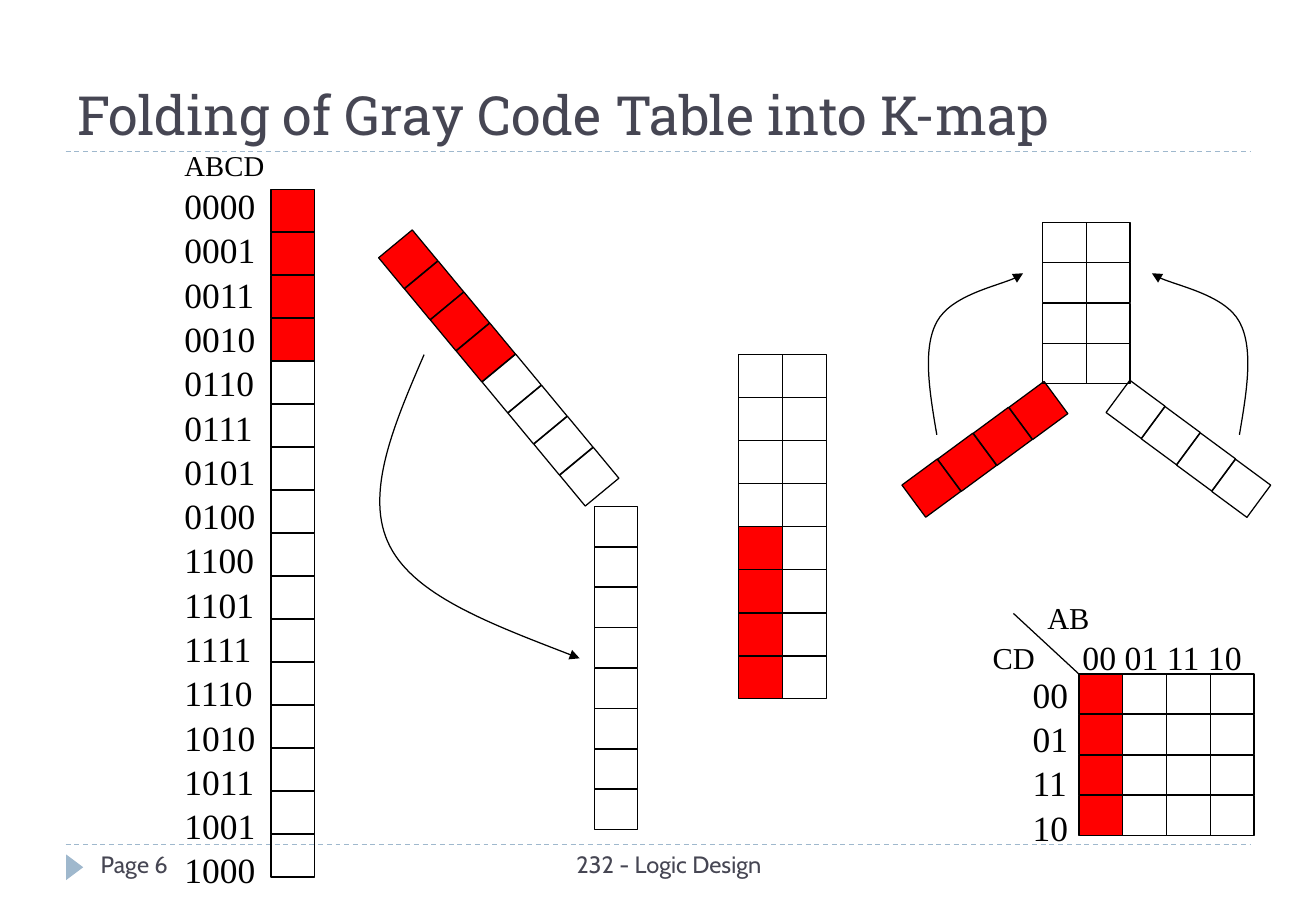
"""Build the slide that folds a Gray code table into a K-map."""
import dataclasses

import pptx
import pptx.dml.color
import pptx.enum.dml
import pptx.enum.shapes
import pptx.enum.text
import pptx.oxml.ns
import pptx.oxml.xmlchemy
import pptx.util

Inches = pptx.util.Inches
Point = tuple[float, float]
ALIGN = pptx.enum.text.PP_ALIGN
ANCHOR = pptx.enum.text.MSO_ANCHOR
SHAPE = pptx.enum.shapes.MSO_SHAPE
COLORS = {"ink": "000000", "slate": "464653", "rule": "9FB8CD", "R": "FF0000", "W": "FFFFFF"}
GRAY_CODES = ("0000 0001 0011 0010 0110 0111 0101 0100 "
              "1100 1101 1111 1110 1010 1011 1001 1000").split()


@dataclasses.dataclass(frozen=True)
class Label:
    """Lines of text in a box; the first line may have its own size."""
    lines: list[str]
    box: tuple[float, float, float, float]
    size: float
    font: str = "Times New Roman"
    color: str = "ink"
    align: ALIGN = ALIGN.LEFT
    anchor: ANCHOR = ANCHOR.TOP
    wrap: bool = False
    gap: float = 0
    head_size: float | None = None


@dataclasses.dataclass(frozen=True)
class Strip:
    """Evenly spaced cells; R is red, W is white and - is unfilled."""
    first: Point
    last: Point
    cells: str
    size: Point = (0.36, 0.33)
    turn: float = 0


@dataclasses.dataclass(frozen=True)
class FoldArrow:
    """A start point followed by Bezier triples."""
    start: Point
    curve: list[Point]


@dataclasses.dataclass(frozen=True)
class Rule:
    """A straight line."""
    start: Point
    end: Point
    color: str
    dashed: bool = False


RULES = [Rule((0.54, y), (10.29, y), "rule", True) for y in (6.95, 1.25)]
RULES.append(Rule((8.88, 5.55), (8.34, 5.05), "ink"))

LABELS = [
    Label(["232 - Logic Design"], (3.43, 6.95, 4.15, 0.4), 14, "Cabin", "slate", ALIGN.CENTER, wrap=True),
    Label(["Page 6"], (0.73, 6.95, 2.35, 0.4), 14, "Cabin", "slate", wrap=True),
    Label(["ABCD", *GRAY_CODES], (1.42, 1.17, 0.87, 6.14), 21, gap=1.05, head_size=17),
    Label(["00 01 11 10"], (8.81, 5.19, 1.52, 0.44), 20),
    Label(["00", "01", "11", "10"], (8.4, 5.49, 0.5, 1.51), 21, gap=1.05),
    Label(["AB"], (8.52, 4.88, 0.55, 0.4), 18),
    Label(["CD"], (8.07, 5.21, 0.55, 0.4), 18),
    Label(["Folding of Gray Code Table into K-map"], (0.54, 0.17, 9.75, 1.08), 32,
          "Roboto Slab", "slate", anchor=ANCHOR.BOTTOM, wrap=True),
]


def columns(left: float, top: float, bottom: float, fills: list[str], height: float = 0.33) -> list[Strip]:
    """Return touching upright strips, one for each fill pattern."""
    return [Strip((left + 0.36 * i, top), (left + 0.36 * i, bottom), cells, (0.36, height))
            for i, cells in enumerate(fills)]


STRIPS = [
    *columns(2.23, 1.56, 6.87, ["RRRR----WWWW----"], 0.35),
    Strip((3.18, 1.97), (4.67, 3.76), "RRRR----", turn=320.4),
    *columns(4.89, 4.17, 6.5, ["WWWW----"]),
    *columns(6.08, 2.92, 5.4, ["----RRRR", "WWWW----"], 0.35),
    Strip((8.38, 3.2), (7.5, 3.84), "RRRR", (0.33, 0.36), 53.6),
    *columns(8.58, 1.83, 2.83, ["----", "WWWW"]),
    Strip((9.18, 3.19), (10.05, 3.84), "----", (0.33, 0.36), 306.4),
    *columns(8.88, 5.55, 6.55, ["RRRR", "----", "WWWW", "----"]),
]

FOLD_ARROWS = [
    FoldArrow((3.49, 2.92), [(3.24, 3.5), (2.99, 4.08), (3.21, 4.5), (3.42, 4.91), (4.1, 5.16), (4.77, 5.42)]),
    FoldArrow((7.71, 3.58), [(7.65, 3.23), (7.59, 2.87), (7.71, 2.65), (7.83, 2.43), (8.36, 2.32), (8.42, 2.25)]),
    FoldArrow((10.2, 3.58), [(10.26, 3.23), (10.32, 2.87), (10.2, 2.65), (10.08, 2.43), (9.54, 2.32), (9.48, 2.25)]),
]


def rgb(name: str) -> pptx.dml.color.RGBColor:
    """Look up a named colour."""
    return pptx.dml.color.RGBColor.from_string(COLORS[name])


def apply(target: object, values: dict[str, object]) -> None:
    """Set each format value on the target."""
    for name, value in values.items():
        setattr(target, name, value)


def paint(shape, fill: str | None, line: str | None) -> None:
    """Give a shape its fill and outline without a shadow."""
    shape.shadow.inherit = False
    if fill:
        shape.fill.solid()
        shape.fill.fore_color.rgb = rgb(fill)
    else:
        shape.fill.background()
    if line:
        shape.line.color.rgb = rgb(line)
        shape.line.width = pptx.util.Pt(0.75)
    else:
        shape.line.fill.background()


def draw_rule(shapes, rule: Rule) -> None:
    """Draw a straight line."""
    ends = [Inches(v) for v in (*rule.start, *rule.end)]
    connector = shapes.add_connector(pptx.enum.shapes.MSO_CONNECTOR.STRAIGHT, *ends)
    connector.line.color.rgb = rgb(rule.color)
    connector.line.width = pptx.util.Pt(0.75)
    if rule.dashed:
        connector.line.dash_style = pptx.enum.dml.MSO_LINE.DASH
    connector._element.spPr.append(pptx.oxml.xmlchemy.OxmlElement("a:effectLst"))


def draw_label(shapes, label: Label) -> None:
    """Draw the lines of a label."""
    frame = shapes.add_textbox(*map(Inches, label.box)).text_frame
    apply(frame, {"word_wrap": label.wrap, "vertical_anchor": label.anchor, "text": "\n".join(label.lines)})
    for index, paragraph in enumerate(frame.paragraphs):
        size = label.head_size if index == 0 and label.head_size else label.size
        apply(paragraph, {"alignment": label.align, "space_before": pptx.util.Pt(label.gap)})
        font = paragraph.runs[0].font
        apply(font, {"name": label.font, "size": pptx.util.Pt(size)})
        font.color.rgb = rgb(label.color)


def draw_strip(shapes, strip: Strip) -> None:
    """Draw the cells of a strip from first to last."""
    for index, cell in enumerate(strip.cells):
        share = index / (len(strip.cells) - 1)
        corner = [a + (b - a) * share for a, b in zip(strip.first, strip.last)]
        square = shapes.add_shape(SHAPE.RECTANGLE, *map(Inches, (*corner, *strip.size)))
        square.rotation = strip.turn
        paint(square, None if cell == "-" else cell, "ink")


def draw_fold_arrow(shapes, arrow: FoldArrow) -> None:
    """Draw a curve with an arrowhead at its end."""
    builder = shapes.build_freeform(*map(Inches, arrow.start))
    builder.add_line_segments([(Inches(x), Inches(y)) for x, y in arrow.curve], close=False)
    fold = builder.convert_to_shape()
    paint(fold, None, "ink")
    segments = list(fold._element.iter(pptx.oxml.ns.qn("a:lnTo")))
    for i in range(0, len(segments), 3):
        bezier = pptx.oxml.xmlchemy.OxmlElement("a:cubicBezTo")
        segments[i].addprevious(bezier)
        for segment in segments[i:i + 3]:
            bezier.append(segment[0])
            segment.getparent().remove(segment)
    tail = pptx.oxml.xmlchemy.OxmlElement("a:tailEnd")
    tail.set("type", "triangle")
    fold._element.spPr.find(pptx.oxml.ns.qn("a:ln")).append(tail)


def main() -> None:
    """Build and save the slide."""
    deck = pptx.Presentation()
    apply(deck, {"slide_width": Inches(10.83), "slide_height": Inches(7.5)})
    shapes = deck.slides.add_slide(deck.slide_layouts[6]).shapes
    for rule in RULES:
        draw_rule(shapes, rule)
    page_marker = shapes.add_shape(SHAPE.ISOSCELES_TRIANGLE, *map(Inches, (0.51, 7.07, 0.21, 0.14)))
    page_marker.rotation = 90
    paint(page_marker, "rule", None)
    for strip in STRIPS:
        draw_strip(shapes, strip)
    for arrow in FOLD_ARROWS:
        draw_fold_arrow(shapes, arrow)
    for label in LABELS:
        draw_label(shapes, label)
    deck.save("out.pptx")


if __name__ == "__main__":
    main()
